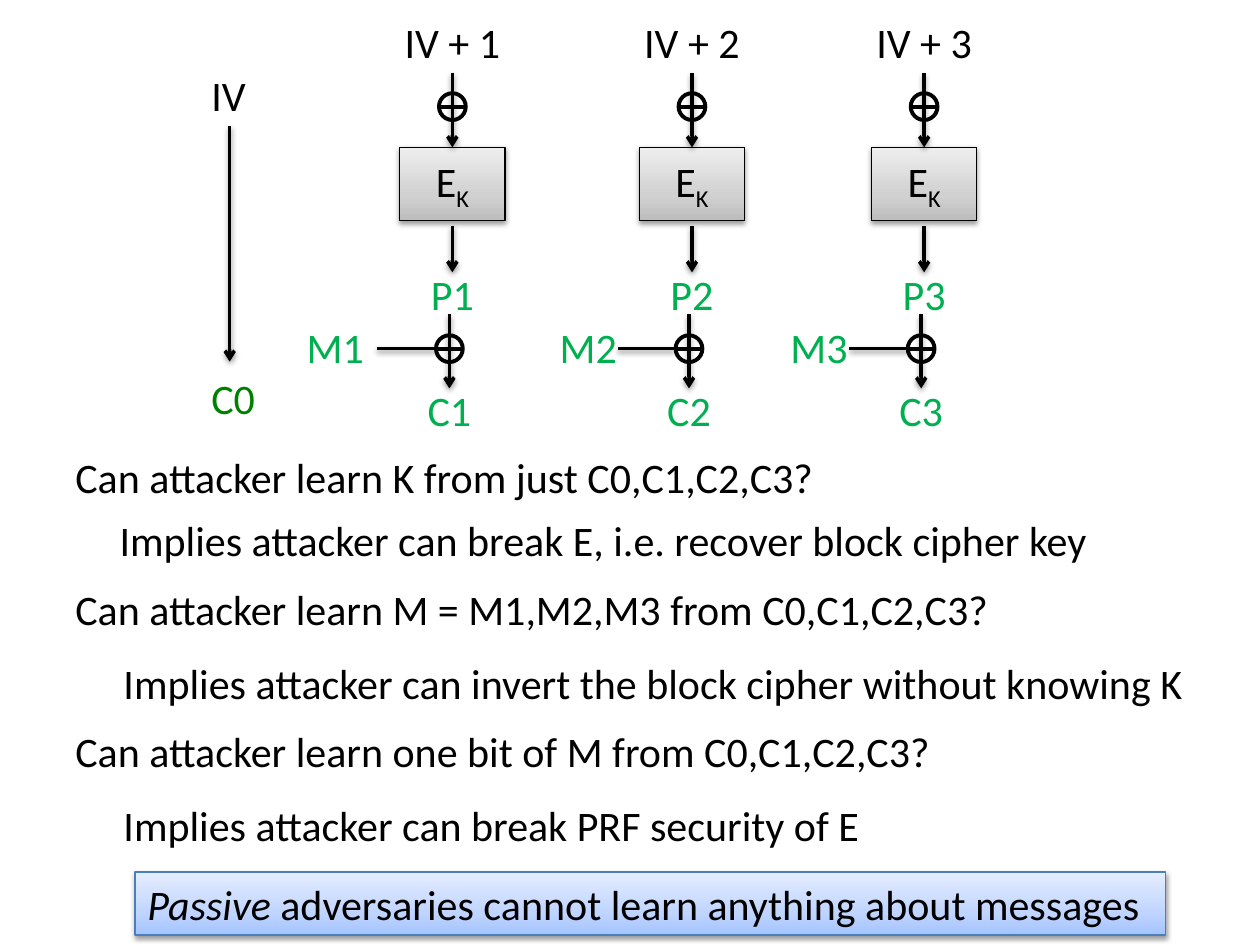
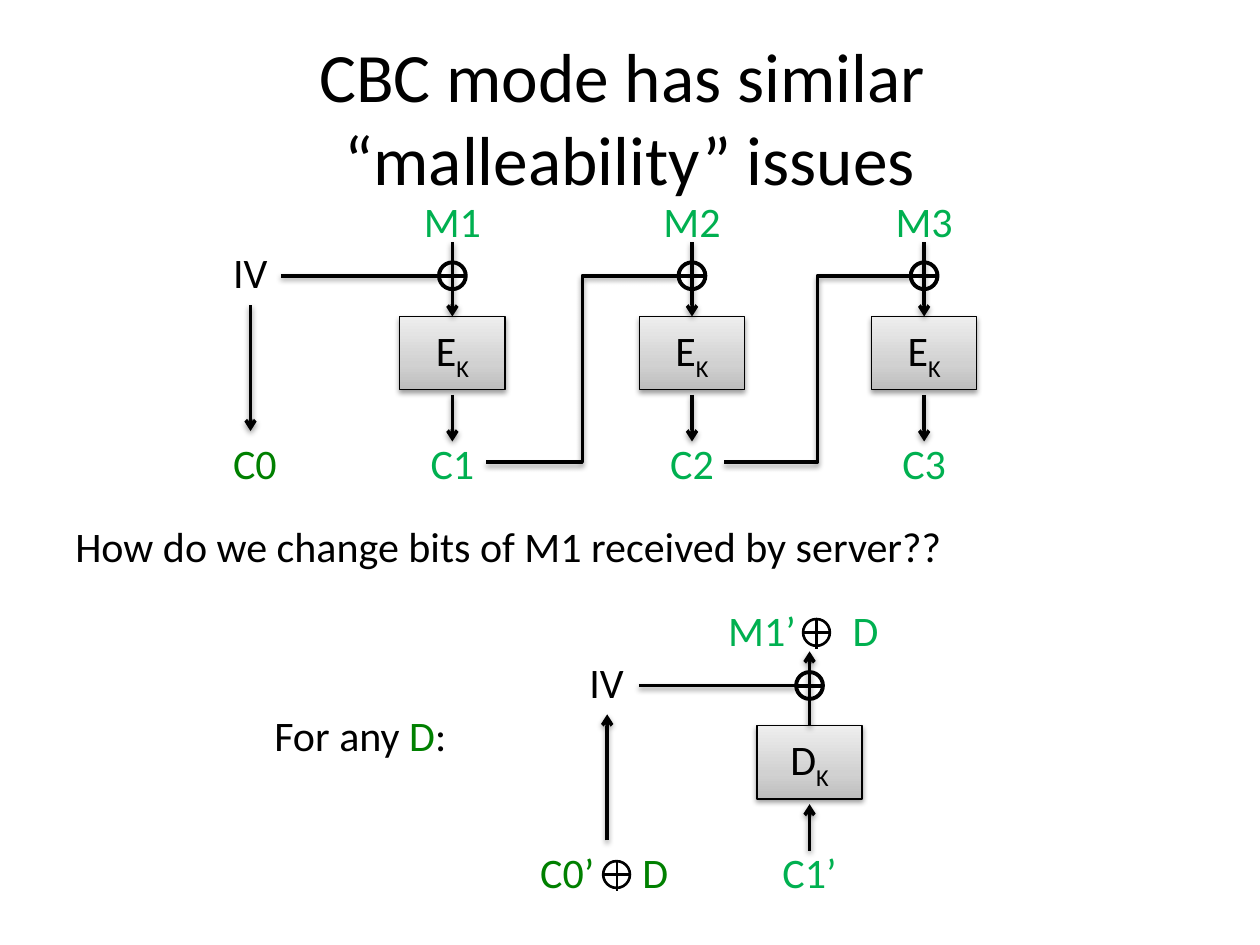
from copy import deepcopy

from lxml.etree import SubElement
from pptx import Presentation
from pptx.dml.color import RGBColor
from pptx.enum.shapes import MSO_CONNECTOR as LINK, MSO_SHAPE as SHAPE
from pptx.enum.text import MSO_ANCHOR as ANCHOR, MSO_AUTO_SIZE as FIT, PP_ALIGN as ALIGN
from pptx.oxml import parse_xml
from pptx.oxml.ns import nsdecls, qn
from pptx.util import Cm, Pt

FONT = "Calibri"
COLOURS = {
    "ink": "000000", "message": "00B050", "public": "008000", "banner edge": "4B7EBC",
    "grey low": "BDBDBD", "grey mid": "D1D1D1", "grey high": "EEEEEE",
    "blue low": "A4C4FF", "blue mid": "BFD4FF", "blue high": "E6EEFF",
}
RGB = {name: RGBColor.from_string(value) for name, value in COLOURS.items()}
SHADOW = (f'<a:effectLst {nsdecls("a")}><a:outerShdw blurRad="40000" dist="20000" '
          'dir="5400000" rotWithShape="0"><a:srgbClr val="000000"><a:alpha val="38000"/>'
          '</a:srgbClr></a:outerShdw></a:effectLst>')
NO_SHADOW = f'<a:effectLst {nsdecls("a")}/>'

COLUMNS = [9.12, 13.95, 18.63]
TEXT_HEIGHT = 1.27
BLOCK_WIDTH, BLOCK_HEIGHT = 2.12, 1.48
RADIUS = 0.27
SUBSCRIPT_K = ("K", "ink", ("baseline", "-25000"))


def add_text(page, left, top, width, *spans, height=TEXT_HEIGHT, centred=False,
             panel=None, edge="ink"):
    """Add spans of (text, colour, *run attributes), on a gradient panel if one is named."""
    size = Cm(left), Cm(top), Cm(width), Cm(height)
    if panel:
        box = page.shapes.add_shape(SHAPE.RECTANGLE, *size)
        box.fill.gradient()
        box.fill.gradient_angle = 90
        stop_list = box._element.spPr.find(".//" + qn("a:gsLst"))
        stop_list.insert(1, deepcopy(stop_list[0]))
        for stop, level, place in zip(box.fill.gradient_stops, ("low", "mid", "high"),
                                      (0, 0.35, 1)):
            stop.color.rgb = RGB[f"{panel} {level}"]
            stop.position = place
        box.line.color.rgb = RGB[edge]
        box.line.width = Pt(0.75)
        box._element.spPr.append(parse_xml(SHADOW))
    else:
        box = page.shapes.add_textbox(*size)
        box.text_frame.auto_size = FIT.SHAPE_TO_FIT_TEXT
    frame = box.text_frame
    frame.word_wrap = False
    frame.vertical_anchor = ANCHOR.MIDDLE if panel else ANCHOR.TOP
    para = frame.paragraphs[0]
    para.alignment = ALIGN.CENTER if centred else ALIGN.LEFT
    for text, colour, *attributes in spans:
        span = para.add_run()
        span.text = text
        span.font.name = FONT
        span.font.size = Pt(24)
        span.font.color.rgb = RGB[colour]
        for attribute in attributes:
            span._r.get_or_add_rPr().set(*attribute)
    return box


def add_line(page, start, end, weight=2, arrow=False, shadow=True, kind=LINK.STRAIGHT):
    line = page.shapes.add_connector(kind, *map(Cm, start + end))
    line.line.color.rgb = RGB["ink"]
    line.line.width = Pt(weight)
    if arrow:
        SubElement(line.line._get_or_add_ln(), qn("a:tailEnd"), type="arrow")
    line._element.spPr.append(parse_xml(SHADOW if shadow else NO_SHADOW))
    return line


deck = Presentation()
deck.slide_width, deck.slide_height = Cm(25.4), Cm(19.05)
counter_page = deck.slides.add_slide(deck.slide_layouts[6])
cbc_page = deck.slides.add_slide(deck.slide_layouts[5])
xors = []  # page, centre x, centre y, line weight

# Block cipher columns, the same on both pages
stages = [
    (counter_page, 2.97, 2.77, "IV + {}", "ink", 2.46, "P{}"),
    (cbc_page, 6.38, 2.57, "M{}", "message", 1.68, "C{}"),
]
for page, top, rise, source, source_colour, source_width, result in stages:
    for number, centre in enumerate(COLUMNS, 1):
        block = add_text(page, centre - BLOCK_WIDTH / 2, top, BLOCK_WIDTH,
                         ("E", "ink"), SUBSCRIPT_K, height=BLOCK_HEIGHT,
                         centred=True, panel="grey")
        feed = add_line(page, (centre, top - 1.5), (centre, top), arrow=True)
        feed.end_connect(block, 0)
        add_line(page, (centre, top + 1.58), (centre, top + 2.52), arrow=True)
        xors.append((page, centre, top - 0.82, 2.25))
        add_text(page, centre - source_width / 2, top - rise, source_width,
                 (source.format(number), source_colour), centred=True)
        add_text(page, centre - 0.7, top + 2.31, 1.4,
                 (result.format(number), "message"), centred=True)

# Counter mode: the pads meet the messages
MESSAGE_CENTRES = [6.76, 11.86, 16.51]
MESSAGE_LINE_STARTS = [7.59, 12.45, 17.12]
PAD_XOR_Y = 7.03
for number, (column, message, start) in enumerate(
        zip(COLUMNS, MESSAGE_CENTRES, MESSAGE_LINE_STARTS), 1):
    centre = column - 0.06
    add_text(counter_page, message - 0.84, 6.35, 1.68, (f"M{number}", "message"), centred=True)
    add_text(counter_page, centre - 0.7, 7.62, 1.4, (f"C{number}", "message"), centred=True)
    add_line(counter_page, (centre, 6.33), (centre, 7.83), arrow=True)
    add_line(counter_page, (start, PAD_XOR_Y), (centre - RADIUS, PAD_XOR_Y))
    xors.append((counter_page, centre, PAD_XOR_Y, 2.25))

add_text(counter_page, 4.01, 1.27, 1.22, ("IV", "ink"))
add_line(counter_page, (4.63, 2.54), (4.63, 7.29), arrow=True)
add_text(counter_page, 4.01, 7.39, 1.4, ("C0", "public"))

questions = [
    (1.27, 8.97, 15.6, "Can attacker learn K from just C0,C1,C2,C3?"),
    (2.16, 10.24, 20.35, "Implies attacker can break E, i.e. recover block cipher key"),
    (1.27, 11.63, 19.15, "Can attacker learn M = M1,M2,M3 from C0,C1,C2,C3?"),
    (2.24, 13.13, 22.15, "Implies attacker can invert the block cipher without knowing K"),
    (1.27, 14.5, 18.59, "Can attacker learn one bit of M from C0,C1,C2,C3?"),
    (2.24, 16, 15.54, "Implies attacker can break PRF security of E"),
]
for left, top, width, question in questions:
    add_text(counter_page, left, top, width, (question, "ink"))
add_text(counter_page, 2.72, 17.58, 20.78, ("Passive", "ink", ("i", "1")),
         (" adversaries cannot learn anything about messages", "ink"),
         panel="blue", edge="banner edge")

# CBC mode: title and chaining
title = cbc_page.shapes.title
title.left, title.top, title.width, title.height = Cm(1.27), Cm(0.76), Cm(22.86), Cm(3.18)
title.text_frame.vertical_anchor = ANCHOR.MIDDLE
para = title.text_frame.paragraphs[0]
para.alignment = ALIGN.CENTER
for position, text in enumerate(["CBC mode has similar ", "“malleability” issues"]):
    if position:
        para.add_line_break()
    span = para.add_run()
    span.text = text
    span.font.name = FONT
    span.font.size = Pt(39.6)
    span.font.color.rgb = RGB["ink"]

CHAIN_Y = 5.56
add_text(cbc_page, 4.45, 4.85, 1.22, ("IV", "ink"))
add_line(cbc_page, (5.66, CHAIN_Y), (COLUMNS[0] - RADIUS, CHAIN_Y))
add_line(cbc_page, (5.05, 6.15), (5.05, 8.69), arrow=True)
add_text(cbc_page, 4.45, 8.69, 1.4, ("C0", "public"))
for start, column in zip((9.8, 14.6), COLUMNS[1:]):
    add_line(cbc_page, (start, 9.32), (column - RADIUS, CHAIN_Y), kind=LINK.ELBOW)

# CBC mode: decrypting a changed block
DECRYPT_X, DECRYPT_Y = 16.32, 14.63
XOR_Y = 13.82
add_text(cbc_page, 1.27, 10.36, 18.19,
         ("How do we change bits of M1 received by server??", "ink"))
add_text(cbc_page, 5.28, 14.17, 4.04, ("For any ", "ink"), ("D", "public"), (":", "ink"))
block = add_text(cbc_page, DECRYPT_X - BLOCK_WIDTH / 2, DECRYPT_Y, BLOCK_WIDTH,
                 ("D", "ink"), SUBSCRIPT_K, height=BLOCK_HEIGHT, centred=True, panel="grey")
output = add_line(cbc_page, (DECRYPT_X, DECRYPT_Y), (DECRYPT_X, 13.13), arrow=True)
output.begin_connect(block, 0)
add_line(cbc_page, (DECRYPT_X, 17.15), (DECRYPT_X, 16.21), arrow=True)
add_text(cbc_page, DECRYPT_X - 0.82, 16.94, 1.64, ("C1’", "message"), centred=True)
xors.append((cbc_page, DECRYPT_X, XOR_Y, 2.25))
add_text(cbc_page, 11.63, 13.11, 1.22, ("IV", "ink"))
add_line(cbc_page, (12.88, XOR_Y), (DECRYPT_X - RADIUS, XOR_Y))
add_line(cbc_page, (12.24, 16.94), (12.24, 14.4), arrow=True)

changed_values = [
    (14.43, 12.07, 3.58, "M1’\tD", "message", 2.51, 16.46, 12.75),
    (10.64, 16.94, 3.1, "C0’\tD", "public", 2.06, 12.43, 17.63),
]
for left, top, width, text, colour, tab, xor_x, xor_y in changed_values:
    label = add_text(cbc_page, left, top, width, (text, colour))
    properties = label.text_frame.paragraphs[0]._p.get_or_add_pPr()
    tabs = SubElement(properties, qn("a:tabLst"))
    SubElement(tabs, qn("a:tab"), pos=str(Cm(tab)), algn="l")
    add_line(cbc_page, (xor_x, xor_y - RADIUS), (xor_x, xor_y + 0.33), 1.25, shadow=False)
    xors.append((cbc_page, xor_x, xor_y, 1.5))

for page, x, y, weight in xors:
    ring = page.shapes.add_shape(SHAPE.OVAL, Cm(x - RADIUS), Cm(y - RADIUS),
                                 Cm(2 * RADIUS), Cm(2 * RADIUS))
    ring.shadow.inherit = False
    ring.fill.background()
    ring.line.color.rgb = RGB["ink"]
    ring.line.width = Pt(weight)
    add_line(page, (x - RADIUS, y), (x + RADIUS, y), weight, shadow=False)

deck.save("out.pptx")
